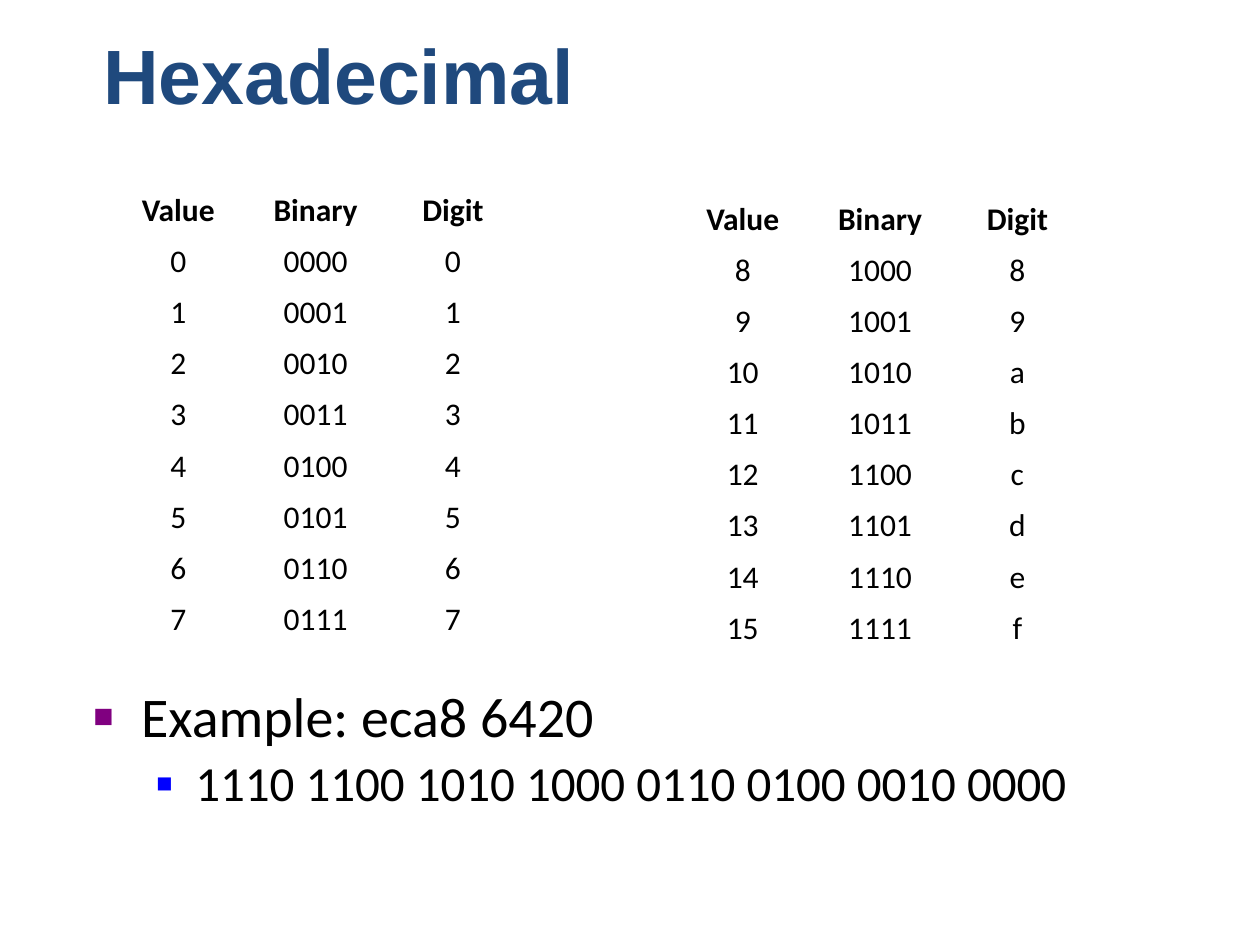
"""Build a slide that lists the hexadecimal digits with their binary forms."""
from dataclasses import dataclass

from lxml import etree
from pptx import Presentation
from pptx.dml.color import RGBColor
from pptx.enum.text import MSO_ANCHOR, PP_ALIGN
from pptx.oxml.ns import qn
from pptx.util import Inches, Pt

CENTER = PP_ALIGN.CENTER
TOP, BOTTOM = MSO_ANCHOR.TOP, MSO_ANCHOR.BOTTOM


@dataclass(frozen=True)
class Theme:
    head: str = "Arial"
    body: str = "Calibri"
    navy: str = "1F497D"
    ink: str = "000000"
    purple: str = "800080"
    blue: str = "0000FF"
    title: int = 44
    main: int = 32
    sub: int = 28
    cell: int = 18


THEME = Theme()


def add_run(para, text, size, font=THEME.body, color=THEME.ink, bold=False):
    run = para.add_run()
    run.text = text
    run.font.size = Pt(size)
    run.font.name = font
    run.font.bold = bold
    run.font.color.rgb = RGBColor.from_string(color)


def add_box(left, top, width, height, anchor, pad):
    box = slide.shapes.add_textbox(Inches(left), Inches(top), Inches(width), Inches(height))
    frame = box.text_frame
    frame.word_wrap = True
    frame.vertical_anchor = anchor
    frame.margin_left = frame.margin_right = Inches(0.07)
    frame.margin_top = frame.margin_bottom = Inches(pad)
    return frame


deck = Presentation()
deck.slide_width, deck.slide_height = Inches(10), Inches(7.5)
slide = deck.slides.add_slide(deck.slide_layouts[6])

for first, left, top in ((0, 0.87, 1.47), (8, 5.35, 1.54)):
    rows = [("Value", "Binary", "Digit")]
    rows += [(str(n), f"{n:04b}", f"{n:x}") for n in range(first, first + 8)]
    frame = slide.shapes.add_table(
        len(rows), 3, Inches(left), Inches(top), Inches(3.27), Inches(3.65)
    )
    table = frame.table
    table.horz_banding = table.first_row = False
    for i, row in enumerate(rows):
        for j, text in enumerate(row):
            cell = table.cell(i, j)
            cell.fill.background()
            para = cell.text_frame.paragraphs[0]
            para.alignment = CENTER
            add_run(para, text, THEME.cell, bold=i == 0)

title = add_box(0.75, 0.16, 9.03, 0.83, BOTTOM, 0.04)
add_run(title.paragraphs[0], "Hexadecimal", THEME.title, THEME.head, THEME.navy, True)

body = add_box(0.67, 5.4, 9.05, 1.26, TOP, 0.07)
body.add_paragraph()
items = (
    ("Example: eca8 6420", THEME.main, THEME.purple, 60, 0.38, 0.38),
    ("1110 1100 1010 1000 0110 0100 0010 0000", THEME.sub, THEME.blue, 55, 0.81, 0.31),
)
for level, (para, item) in enumerate(zip(body.paragraphs, items)):
    text, size, color, scale, left, hang = item
    para.level = level
    para.line_spacing = 0.9
    para.space_before = Pt(size * 0.2)
    props = para._p.get_or_add_pPr()
    props.set("marL", str(Inches(left)))
    props.set("indent", str(-Inches(hang)))
    tint = etree.SubElement(props, qn("a:buClr"))
    etree.SubElement(tint, qn("a:srgbClr"), val=color)
    etree.SubElement(props, qn("a:buSzPct"), val=str(scale * 1000))
    etree.SubElement(props, qn("a:buFont"), typeface=THEME.head)
    etree.SubElement(props, qn("a:buChar"), char="■")
    add_run(para, text, size)

deck.save("out.pptx")
